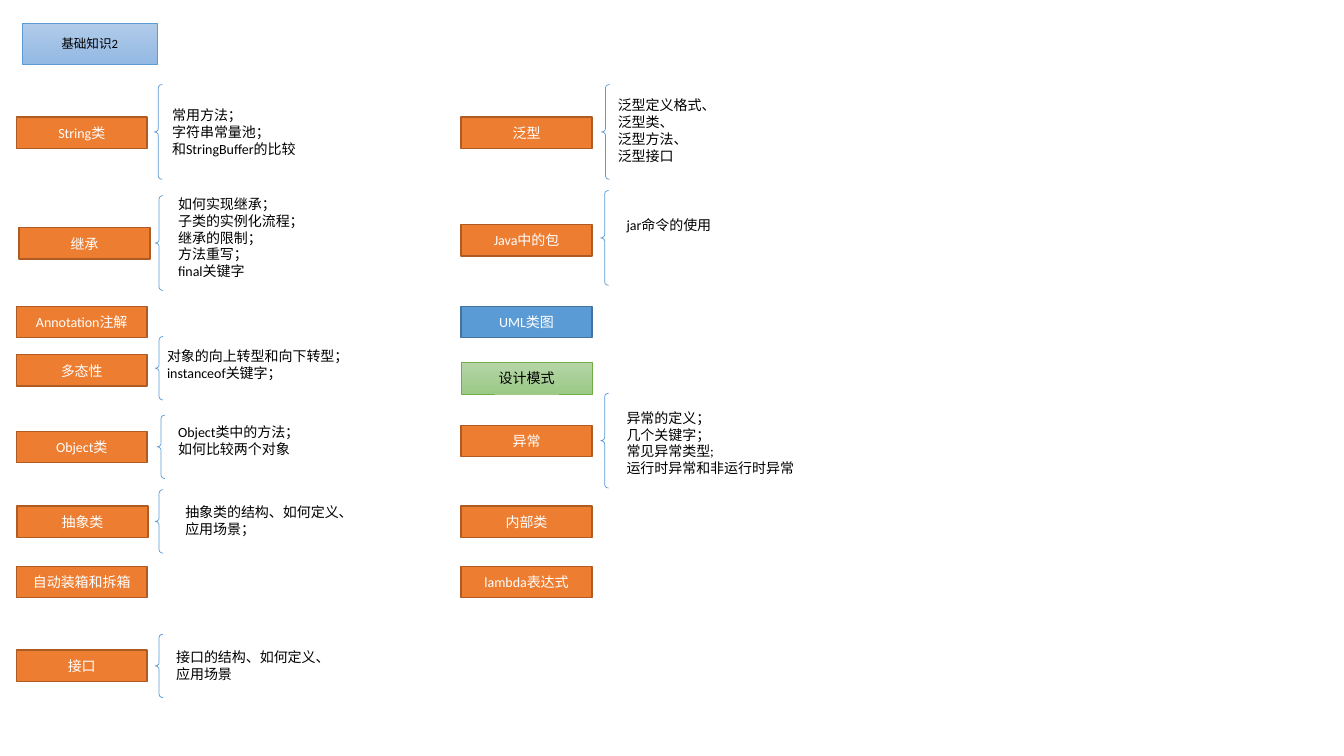
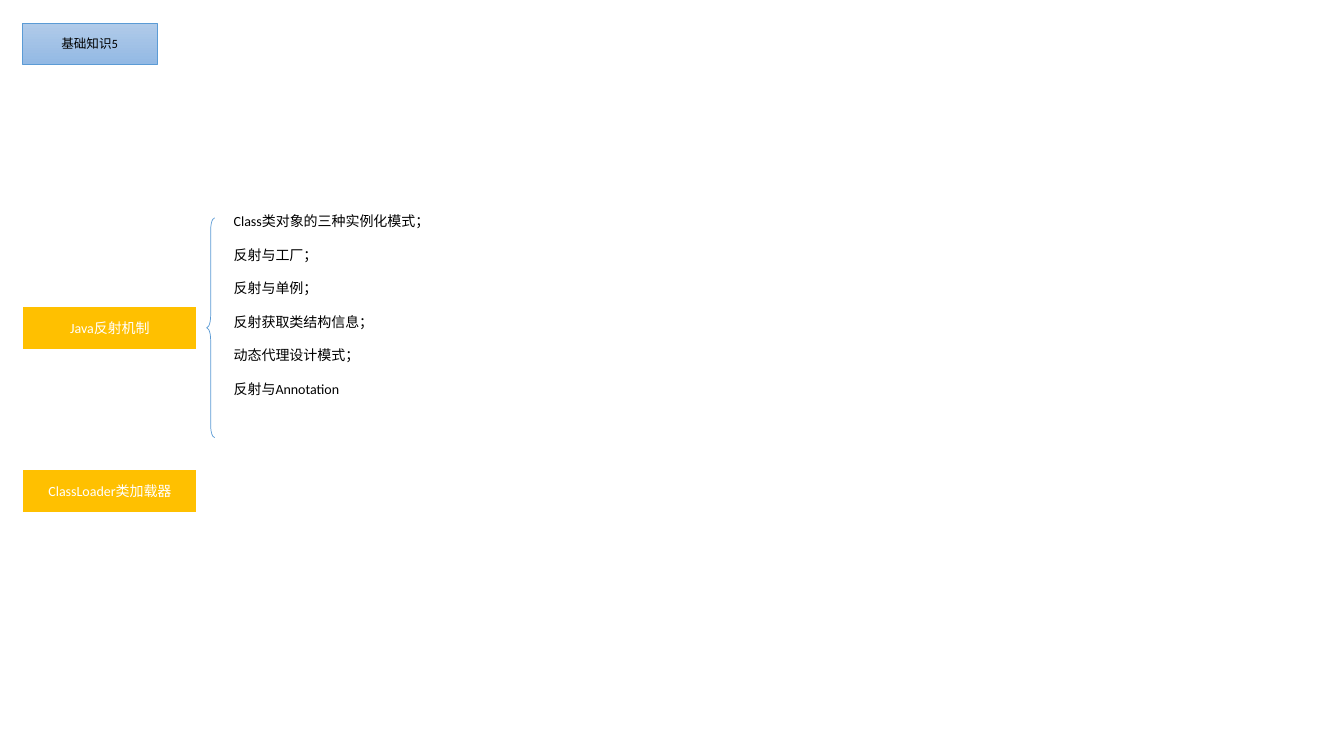
from pptx import Presentation
from pptx import util as u
from pptx.dml.color import RGBColor
from pptx.enum import lang, shapes, text

BLACK = RGBColor(0x00, 0x00, 0x00)
WHITE = RGBColor(0xFF, 0xFF, 0xFF)
BLUE = RGBColor(0x5B, 0x9B, 0xD5)
DARK_BLUE = RGBColor(0x43, 0x73, 0x9E)
PALE_BLUE = RGBColor(0xB1, 0xCB, 0xE9)
SOFT_BLUE = RGBColor(0x93, 0xB9, 0xE4)
ORANGE = RGBColor(0xED, 0x7D, 0x31)
DARK_ORANGE = RGBColor(0xAF, 0x5C, 0x24)
GREEN = RGBColor(0x70, 0xAD, 0x47)
PALE_GREEN = RGBColor(0xB5, 0xD5, 0xA7)
SOFT_GREEN = RGBColor(0x9C, 0xC9, 0x87)
GOLD = RGBColor(0xFF, 0xC0, 0x00)

TITLE_STYLE = ((PALE_BLUE, SOFT_BLUE), BLUE, 0.5, BLACK, 9)
TOPIC_STYLE = ((ORANGE,), DARK_ORANGE, 1, WHITE, 10)
UML_STYLE = ((BLUE,), DARK_BLUE, 1, WHITE, 10)
PATTERN_STYLE = ((PALE_GREEN, SOFT_GREEN), GREEN, 0.5, BLACK, 10)
REFLECTION_STYLE = ((GOLD,), WHITE, 1.5, WHITE, 10)


def add_box(slide, wording, position, style):
    fills, line_colour, line_width, text_colour, size = style
    shape = slide.shapes.add_shape(
        shapes.MSO_SHAPE.RECTANGLE, *[u.Cm(length) for length in position])
    shape.shadow.inherit = False
    if len(fills) > 1:
        shape.fill.gradient()
        shape.fill.gradient_angle = 270
        for stop, colour in zip(shape.fill.gradient_stops, fills):
            stop.color.rgb = colour
    else:
        shape.fill.solid()
        shape.fill.fore_color.rgb = fills[0]
    shape.line.color.rgb = line_colour
    shape.line.width = u.Pt(line_width)
    frame = shape.text_frame
    frame.text = wording
    frame.vertical_anchor = text.MSO_ANCHOR.MIDDLE
    paragraph = frame.paragraphs[0]
    paragraph.alignment = text.PP_ALIGN.CENTER
    font = paragraph.runs[0].font
    font.name = "Calibri"
    font.size = u.Pt(size)
    font.color.rgb = text_colour
    font.language_id = lang.MSO_LANGUAGE_ID.SIMPLIFIED_CHINESE


def add_details(slide, brace_position, curl, note_position, lines, gap=0):
    left, top, height = brace_position
    brace = slide.shapes.add_shape(
        shapes.MSO_SHAPE.LEFT_BRACE, u.Cm(left), u.Cm(top), u.Cm(0.2), u.Cm(height))
    brace.shadow.inherit = False
    brace.adjustments[0] = curl
    brace.fill.background()
    brace.line.color.rgb = BLUE
    brace.line.width = u.Pt(0.5)
    note = slide.shapes.add_textbox(*[u.Cm(length) for length in note_position])
    frame = note.text_frame
    frame.word_wrap = True
    frame.text = "\n".join(lines)
    for paragraph in frame.paragraphs:
        paragraph.space_after = u.Pt(gap)
        font = paragraph.runs[0].font
        font.name = "Calibri"
        font.size = u.Pt(10)
        font.color.rgb = BLACK
        font.language_id = lang.MSO_LANGUAGE_ID.SIMPLIFIED_CHINESE


presentation = Presentation()
presentation.slide_width = u.Cm(33.87)
presentation.slide_height = u.Cm(19.05)

basics, reflection = [
    presentation.slides.add_slide(presentation.slide_layouts[6]) for _ in range(2)]
for slide, title in ((basics, "基础知识2"), (reflection, "基础知识5")):
    add_box(slide, title, (0.56, 0.58, 3.4, 1.04), TITLE_STYLE)

topics = [
    ("String类", 0.41, 2.95, TOPIC_STYLE),
    ("继承", 0.48, 5.74, TOPIC_STYLE),
    ("Annotation注解", 0.41, 7.72, TOPIC_STYLE),
    ("多态性", 0.41, 8.94, TOPIC_STYLE),
    ("Object类", 0.41, 10.87, TOPIC_STYLE),
    ("抽象类", 0.43, 12.75, TOPIC_STYLE),
    ("自动装箱和拆箱", 0.41, 14.27, TOPIC_STYLE),
    ("接口", 0.41, 16.38, TOPIC_STYLE),
    ("泛型", 11.62, 2.95, TOPIC_STYLE),
    ("Java中的包", 11.62, 5.66, TOPIC_STYLE),
    ("UML类图", 11.62, 7.72, UML_STYLE),
    ("设计模式", 11.62, 9.14, PATTERN_STYLE),
    ("异常", 11.62, 10.72, TOPIC_STYLE),
    ("内部类", 11.62, 12.75, TOPIC_STYLE),
    ("lambda表达式", 11.62, 14.27, TOPIC_STYLE),
]
for wording, left, top, style in topics:
    add_box(basics, wording, (left, top, 3.3, 0.79), style)

details = [
    ((3.89, 2.13, 2.39), (4.09, 2.57, 4.06, 1.52),
     ["常用方法；", "字符串常量池；", "和StringBuffer的比较"]),
    ((3.91, 4.93, 2.39), (4.24, 4.8, 3.66, 2.39),
     ["如何实现继承；", "子类的实例化流程；", "继承的限制；", "方法重写；", "final关键字"]),
    ((3.91, 8.48, 1.6), (3.96, 8.64, 4.85, 1.12),
     ["对象的向上转型和向下转型；", "instanceof关键字；"]),
    ((3.96, 10.46, 1.6), (4.24, 10.54, 3.94, 1.12),
     ["Object类中的方法；", "如何比较两个对象"]),
    ((3.91, 12.34, 1.6), (4.42, 12.57, 4.65, 1.12),
     ["抽象类的结构、如何定义、应用场景；"]),
    ((3.91, 15.98, 1.6), (4.19, 16.21, 4.65, 1.12),
     ["接口的结构、如何定义、应用场景"]),
    ((15.16, 2.13, 2.39), (15.32, 2.31, 2.77, 1.96),
     ["泛型定义格式、", "泛型类、", "泛型方法、", "泛型接口"]),
    ((15.14, 4.8, 2.39), (15.54, 5.33, 2.84, 0.69),
     ["jar命令的使用"]),
    ((15.14, 9.91, 2.39), (15.54, 10.19, 5.03, 1.96),
     ["异常的定义；", "几个关键字；", "常见异常类型;", "运行时异常和非运行时异常"]),
]
for brace_position, note_position, lines in details:
    add_details(basics, brace_position, 0.42, note_position, lines)

for wording, top in (("Java反射机制", 7.7), ("ClassLoader类加载器", 11.81)):
    add_box(reflection, wording, (0.56, top, 4.42, 1.12), REFLECTION_STYLE)
add_details(
    reflection, (5.21, 5.49, 5.54), 1.56, (5.64, 5.23, 5.59, 5.82),
    ["Class类对象的三种实例化模式；", "反射与工厂；", "反射与单例；",
     "反射获取类结构信息；", "动态代理设计模式；", "反射与Annotation"], gap=12)

presentation.save("out.pptx")
